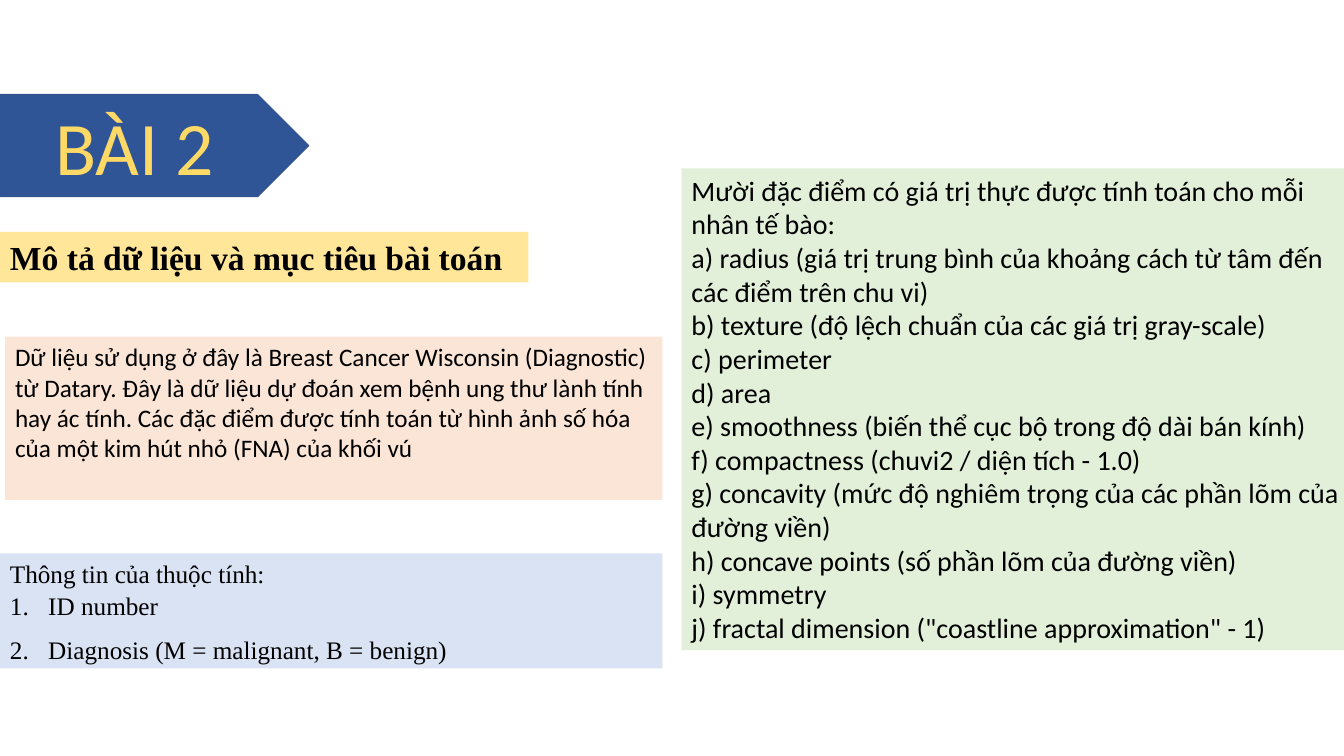
from lxml.etree import SubElement
from pptx import Presentation
from pptx.dml.color import RGBColor
from pptx.enum.shapes import MSO_SHAPE as Shape
from pptx.enum.text import PP_ALIGN as Align
from pptx.oxml.ns import qn
from pptx.util import Inches, Pt

COLORS = {
    "banner": "2F5597", "banner_line": "325491", "gold": "FFD966",
    "yellow": "FFE699", "peach": "FBE5D6", "blue": "DAE3F3",
    "green": "E2F0D9", "ink": "000000",
}
SANS, SERIF = "Calibri", "Times New Roman"

DESCRIPTION = (
    "Dữ liệu sử dụng ở đây là Breast Cancer Wisconsin (Diagnostic) từ Datary. "
    "Đây là dữ liệu dự đoán xem bệnh ung thư lành tính hay ác tính. "
    "Các đặc điểm được tính toán từ hình ảnh số hóa của một kim hút nhỏ (FNA) của khối vú"
)
ATTRIBUTES = ["ID number", "Diagnosis (M = malignant, B = benign)"]
FEATURES = [
    "Mười đặc điểm có giá trị thực được tính toán cho mỗi nhân tế bào:",
    "a) radius (giá trị trung bình của khoảng cách từ tâm đến các điểm trên chu vi)",
    "b) texture (độ lệch chuẩn của các giá trị gray-scale)",
    "c) perimeter",
    "d) area",
    "e) smoothness (biến thể cục bộ trong độ dài bán kính)",
    "f) compactness (chuvi2 / diện tích - 1.0)",
    "g) concavity (mức độ nghiêm trọng của các phần lõm của đường viền)",
    "h) concave points (số phần lõm của đường viền)",
    "i) symmetry",
    'j) fractal dimension ("coastline approximation" - 1)',
]


def color(name):
    return RGBColor.from_string(COLORS[name])


def write(frame, text, size=18, font=SANS, ink="ink", bold=False,
          align=Align.LEFT, numbered=False):
    first = frame.paragraphs[0]
    paragraph = frame.add_paragraph() if first.runs else first
    paragraph.alignment = align
    if numbered:
        paragraph.line_spacing = 1.07
        paragraph.space_after = Pt(8)
        properties = paragraph._p.get_or_add_pPr()
        properties.set("marL", str(Inches(0.38)))
        properties.set("indent", str(-Inches(0.38)))
        SubElement(properties, qn("a:buAutoNum"), type="arabicPeriod")
    run = paragraph.add_run()
    run.text = text
    run.font.size = Pt(size)
    run.font.name = font
    run.font.bold = bold
    run.font.color.rgb = color(ink)


class Deck:
    def __init__(self):
        self.presentation = Presentation()
        self.presentation.slide_width = Inches(13.33)
        self.presentation.slide_height = Inches(7.5)
        self.slide = self.presentation.slides.add_slide(
            self.presentation.slide_layouts[6])

    def place(self, left, top, width, height):
        across = self.presentation.slide_width / 100
        down = self.presentation.slide_height / 100
        return (round(left * across), round(top * down),
                round(width * across), round(height * down))

    def banner(self, area):
        shape = self.slide.shapes.add_shape(Shape.PENTAGON, *self.place(*area))
        shape.shadow.inherit = False
        shape.fill.solid()
        shape.fill.fore_color.rgb = color("banner")
        shape.line.color.rgb = color("banner_line")
        shape.line.width = Pt(1)

    def text_box(self, area, lines, fill=None, **style):
        box = self.slide.shapes.add_textbox(*self.place(*area))
        if fill:
            box.fill.solid()
            box.fill.fore_color.rgb = color(fill)
        box.text_frame.word_wrap = True
        for line in lines:
            write(box.text_frame, line, **style)
        return box.text_frame


def main():
    deck = Deck()
    deck.banner((0, 12.53, 22.96, 13.47))
    deck.text_box((3.3, 12.53, 13.43, 13.47), ["BÀI 2"],
                  size=54, ink="gold", align=Align.CENTER)
    deck.text_box((0, 30.67, 39.31, 6.67), ["Mô tả dữ liệu và mục tiêu bài toán"],
                  fill="yellow", size=24, font=SERIF, bold=True)
    deck.text_box((0.38, 44.53, 48.91, 21.6), [DESCRIPTION], fill="peach")
    attributes = deck.text_box((0, 73.2, 49.29, 15.2), ["Thông tin của thuộc tính:"],
                               fill="blue", font=SERIF)
    for attribute in ATTRIBUTES:
        write(attributes, attribute, font=SERIF, numbered=True)
    deck.text_box((50.71, 22.27, 50.42, 63.73), FEATURES, fill="green", size=20)
    deck.presentation.save("out.pptx")


if __name__ == "__main__":
    main()
